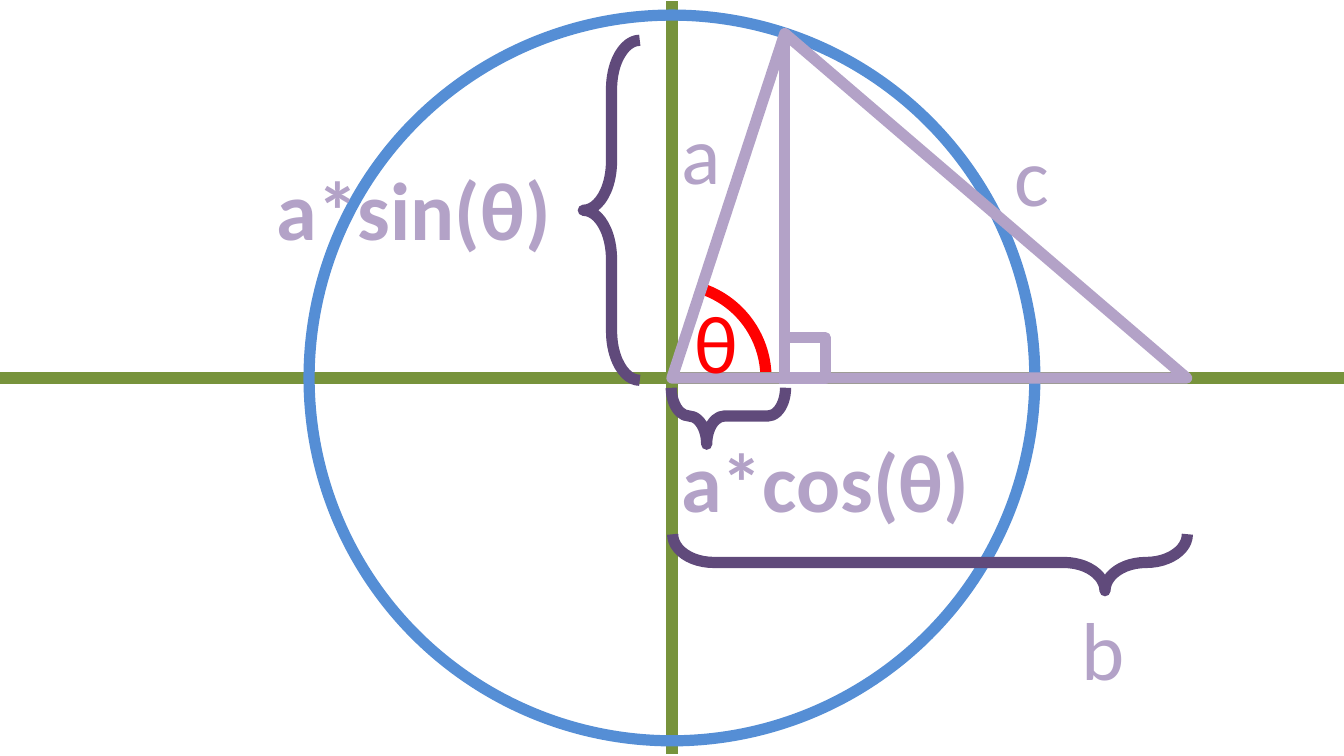
from lxml import etree
from pptx import Presentation
from pptx import util as u
from pptx.dml.color import RGBColor
from pptx.enum import shapes, text
from pptx.oxml.ns import qn

GREEN = RGBColor(0x77, 0x93, 0x3C)
BLUE = RGBColor(0x55, 0x8E, 0xD5)
RED = RGBColor(0xFF, 0x00, 0x00)
LILAC = RGBColor(0xB3, 0xA2, 0xC7)
PURPLE = RGBColor(0x60, 0x4A, 0x7B)
KIND = shapes.MSO_SHAPE

WIDTH = 10
HEIGHT = WIDTH * 9 / 16
CENTER_X, CENTER_Y = WIDTH / 2, HEIGHT / 2
RADIUS = 2.7
ARC_RADIUS = 0.7
APEX_X, APEX_Y = 5.84, 0.25
CORNER_X = 8.83

presentation = Presentation()
presentation.slide_width = u.Inches(WIDTH)
presentation.slide_height = u.Inches(HEIGHT)
slide = presentation.slides.add_slide(presentation.slide_layouts[6])


def add_outline(kind, left, top, width, height, color, adjustments=(), rotation=0):
    shape = slide.shapes.add_shape(kind, *map(u.Inches, (left, top, width, height)))
    for index, value in enumerate(adjustments):
        shape.adjustments[index] = value
    shape.rotation = rotation
    shape.shadow.inherit = False
    shape.fill.background()
    shape.line.color.rgb = color
    shape.line.width = u.Pt(6)


def add_line(start_x, start_y, end_x, end_y, color):
    line = slide.shapes.add_connector(
        shapes.MSO_CONNECTOR.STRAIGHT, *map(u.Inches, (start_x, start_y, end_x, end_y)))
    line.line.color.rgb = color
    line.line.width = u.Pt(6)
    etree.SubElement(line._element.spPr, qn("a:effectLst"))


add_line(CENTER_X, 0.01, CENTER_X, 5.61, GREEN)
add_outline(KIND.ARC, CENTER_X - ARC_RADIUS, CENTER_Y - ARC_RADIUS,
            2 * ARC_RADIUS, 2 * ARC_RADIUS, RED, (173.29, 215.22))
add_line(WIDTH, CENTER_Y, 0, CENTER_Y, GREEN)
add_outline(KIND.OVAL, CENTER_X - RADIUS, CENTER_Y - RADIUS, 2 * RADIUS, 2 * RADIUS, BLUE)

builder = slide.shapes.build_freeform(u.Inches(CENTER_X), u.Inches(CENTER_Y))
builder.add_line_segments(
    [(u.Inches(x), u.Inches(y)) for x, y in ((APEX_X, APEX_Y), (CORNER_X, CENTER_Y))])
triangle = builder.convert_to_shape()
triangle.shadow.inherit = False
triangle.fill.background()
triangle.line.color.rgb = LILAC
triangle.line.width = u.Pt(6)

labels = [
    ("a", 4.97, 0.71, 0.5, LILAC, False),
    ("θ", 5.07, 2.12, 0.5, RED, False),
    ("c", 7.45, 0.88, 0.5, LILAC, False),
    ("b", 7.95, 4.4, 0.5, LILAC, False),
    ("a*sin(θ)", 1.96, 1.13, 2.33, LILAC, True),
    ("a*cos(θ)", 4.97, 3.15, 2.39, LILAC, True),
]
for wording, left, top, width, color, bold in labels:
    label = slide.shapes.add_textbox(*map(u.Inches, (left, top, width, 0.84)))
    frame = label.text_frame
    frame.word_wrap = True
    frame.auto_size = text.MSO_AUTO_SIZE.SHAPE_TO_FIT_TEXT
    run = frame.paragraphs[0].add_run()
    run.text = wording
    font_format = {"name": "Calibri", "size": u.Pt(44), "bold": bold}
    for attribute, value in font_format.items():
        setattr(run.font, attribute, value)
    run.font.color.rgb = color

add_line(APEX_X, APEX_Y, APEX_X, 2.86, LILAC)
add_outline(KIND.RECTANGLE, APEX_X, CENTER_Y - 0.3, 0.3, 0.3, LILAC)

braces = [
    (4.34, 0.3, 2.53, 0.5, 0),
    (5.21, 2.67, 0.85, 0.31, 270),
    (6.71, 2.27, 3.83, 0.84, 270),
]
for left, top, length, tip, rotation in braces:
    add_outline(KIND.LEFT_BRACE, left, top, 0.42, length, PURPLE, (0.87, tip), rotation)

presentation.save("out.pptx")
